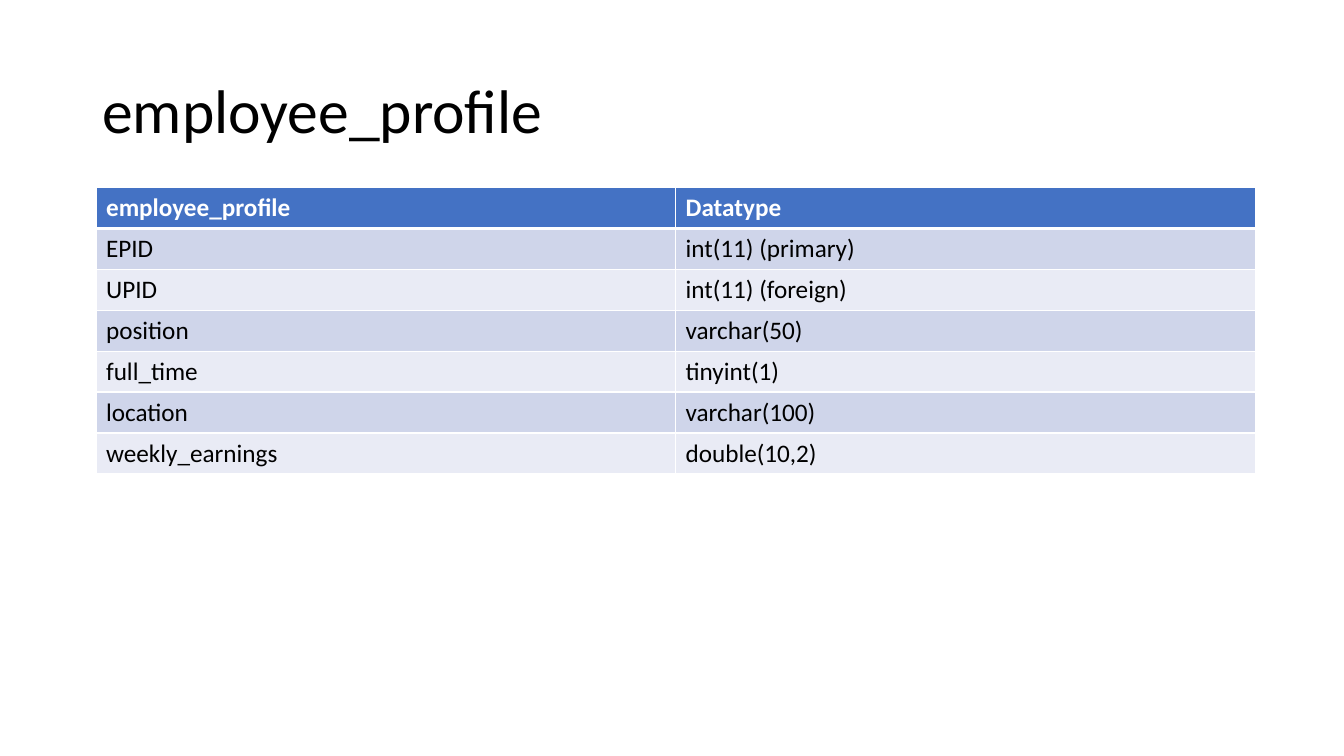
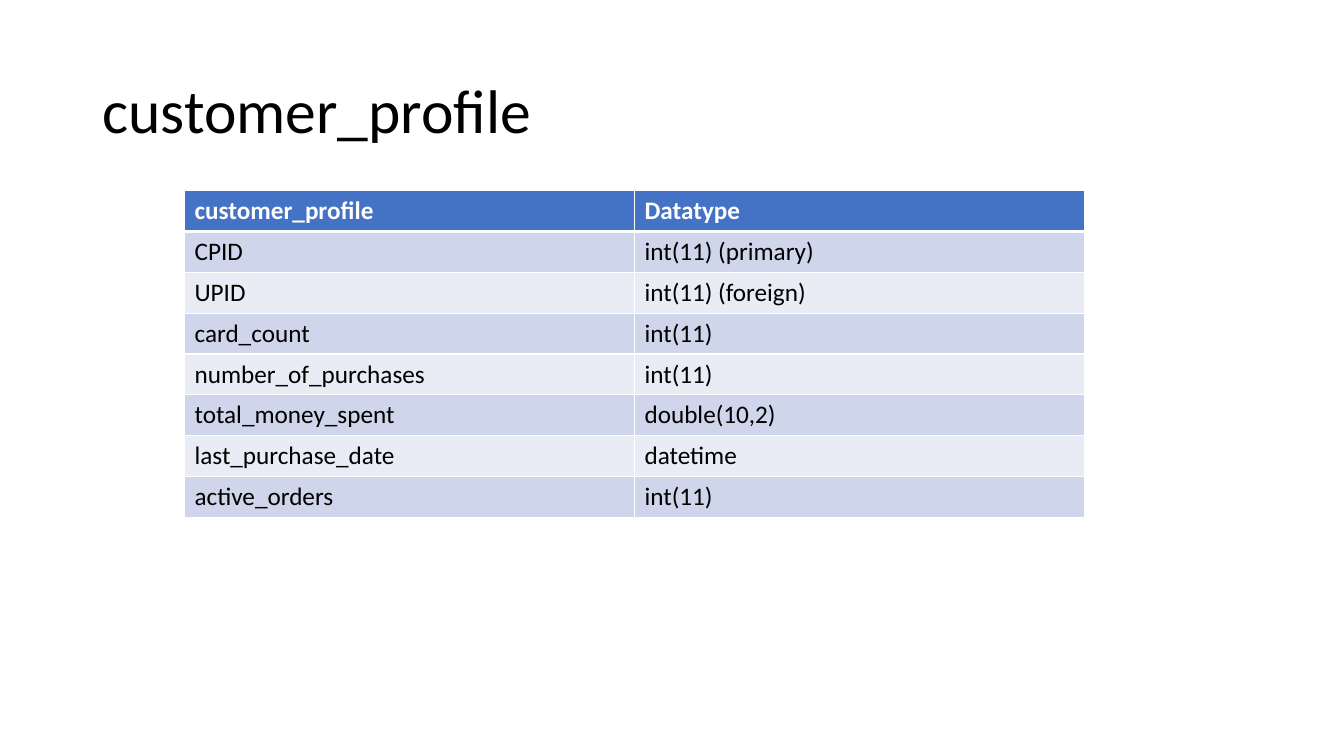
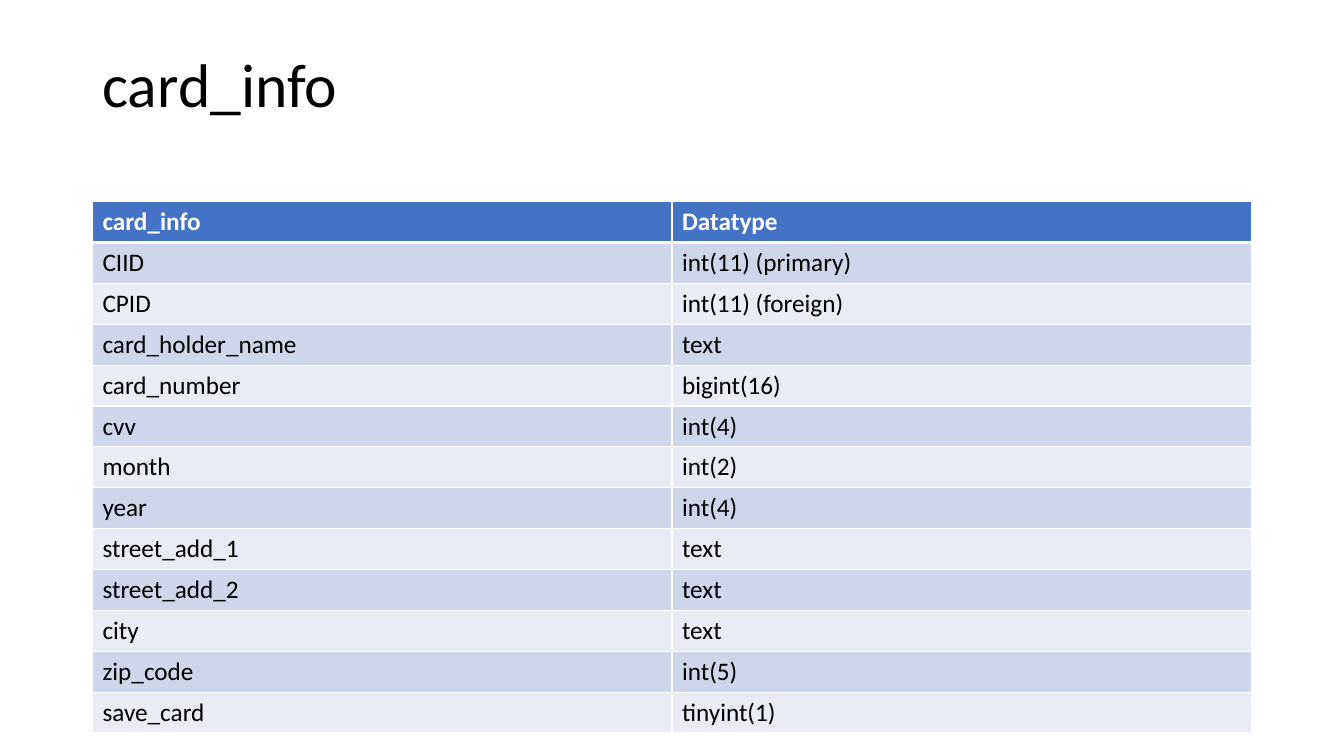
import pptx
import pptx.dml.color
import pptx.enum.text
import pptx.oxml.ns
import pptx.util
from lxml import etree
from pptx.util import Cm

FONT = "Calibri"
COLORS = {
    "text": "000000",
    "white": "FFFFFF",
    "header": "4472C4",
    "odd_row": "CFD5EA",
    "even_row": "E9EBF5",
}
TITLE_LEFT, TITLE_TOP, TITLE_WIDTH = Cm(2.33), Cm(1.01), Cm(29.21)
TITLE_HEIGHT, SHORT_TITLE_HEIGHT = Cm(3.68), Cm(2.41)
ROW_HEIGHT = Cm(1.03)
THIN, THICK = 1, 3

EMPLOYEE_FIELDS = [
    ("EPID", "int(11) (primary)"),
    ("UPID", "int(11) (foreign)"),
    ("position", "varchar(50)"),
    ("full_time", "tinyint(1)"),
    ("location", "varchar(100)"),
    ("weekly_earnings", "double(10,2)"),
]
CUSTOMER_FIELDS = [
    ("CPID", "int(11) (primary)"),
    ("UPID", "int(11) (foreign)"),
    ("card_count", "int(11)"),
    ("number_of_purchases", "int(11)"),
    ("total_money_spent", "double(10,2)"),
    ("last_purchase_date", "datetime"),
    ("active_orders", "int(11)"),
]
CARD_FIELDS = [
    ("CIID", "int(11) (primary)"),
    ("CPID", "int(11) (foreign)"),
    ("card_holder_name", "text"),
    ("card_number", "bigint(16)"),
    ("cvv", "int(4)"),
    ("month", "int(2)"),
    ("year", "int(4)"),
    ("street_add_1", "text"),
    ("street_add_2", "text"),
    ("city", "text"),
    ("zip_code", "int(5)"),
    ("save_card", "tinyint(1)"),
]


def rgb(name):
    """Return the named colour."""
    return pptx.dml.color.RGBColor.from_string(COLORS[name])


def format_text(text_frame, size, color, bold=False):
    """Apply one character style to every run."""
    for paragraph in text_frame.paragraphs:
        for run in paragraph.runs:
            run.font.name = FONT
            run.font.size = pptx.util.Pt(size)
            run.font.bold = bold
            run.font.color.rgb = rgb(color)


def add_title(slide, text, height):
    """Add the slide title, centred vertically in its box."""
    box = slide.shapes.add_textbox(TITLE_LEFT, TITLE_TOP, TITLE_WIDTH, height)
    text_frame = box.text_frame
    text_frame.word_wrap = True
    text_frame.vertical_anchor = pptx.enum.text.MSO_ANCHOR.MIDDLE
    text_frame.text = text
    text_frame.paragraphs[0].line_spacing = 0.9
    format_text(text_frame, 44, "text")


def set_borders(cell, top, bottom):
    """Draw white cell borders; top and bottom widths are in points."""
    properties = cell._tc.get_or_add_tcPr()
    qn = pptx.oxml.ns.qn
    for side, width in (("L", THIN), ("R", THIN), ("T", top), ("B", bottom)):
        line = etree.SubElement(properties, qn(f"a:ln{side}"), w=str(pptx.util.Pt(width)))
        fill = etree.SubElement(line, qn("a:solidFill"))
        etree.SubElement(fill, qn("a:srgbClr"), val=COLORS["white"])


def format_cell(cell, row_index):
    """Style a cell as header or as part of an alternating band."""
    is_header = row_index == 0
    set_borders(cell, THICK if row_index == 1 else THIN, THICK if is_header else THIN)
    band = "odd_row" if row_index % 2 else "even_row"
    cell.fill.solid()
    cell.fill.fore_color.rgb = rgb("header" if is_header else band)
    format_text(cell.text_frame, 18, "white" if is_header else "text", is_header)


def add_field_table(slide, name, fields, left, top, width):
    """Add a table of field names and datatypes."""
    rows = [(name, "Datatype"), *fields]
    frame = slide.shapes.add_table(len(rows), 2, left, top, width, ROW_HEIGHT * len(rows))
    for row_index, values in enumerate(rows):
        for column_index, value in enumerate(values):
            cell = frame.table.cell(row_index, column_index)
            cell.text_frame.text = value
            format_cell(cell, row_index)


def add_schema_slide(presentation, name, fields, left, top, width, title_height=TITLE_HEIGHT):
    """Add a slide that describes one database table."""
    slide = presentation.slides.add_slide(presentation.slide_layouts[6])
    add_title(slide, name, title_height)
    add_field_table(slide, name, fields, left, top, width)


def main():
    """Build and save the presentation."""
    presentation = pptx.Presentation()
    presentation.slide_width = Cm(33.87)
    presentation.slide_height = Cm(19.05)
    add_schema_slide(presentation, "employee_profile", EMPLOYEE_FIELDS,
                     Cm(2.42), Cm(4.73), Cm(29.21))
    add_schema_slide(presentation, "customer_profile", CUSTOMER_FIELDS,
                     Cm(4.65), Cm(4.8), Cm(22.68))
    add_schema_slide(presentation, "card_info", CARD_FIELDS,
                     Cm(2.33), Cm(5.08), Cm(29.21), SHORT_TITLE_HEIGHT)
    presentation.save("out.pptx")


main()
